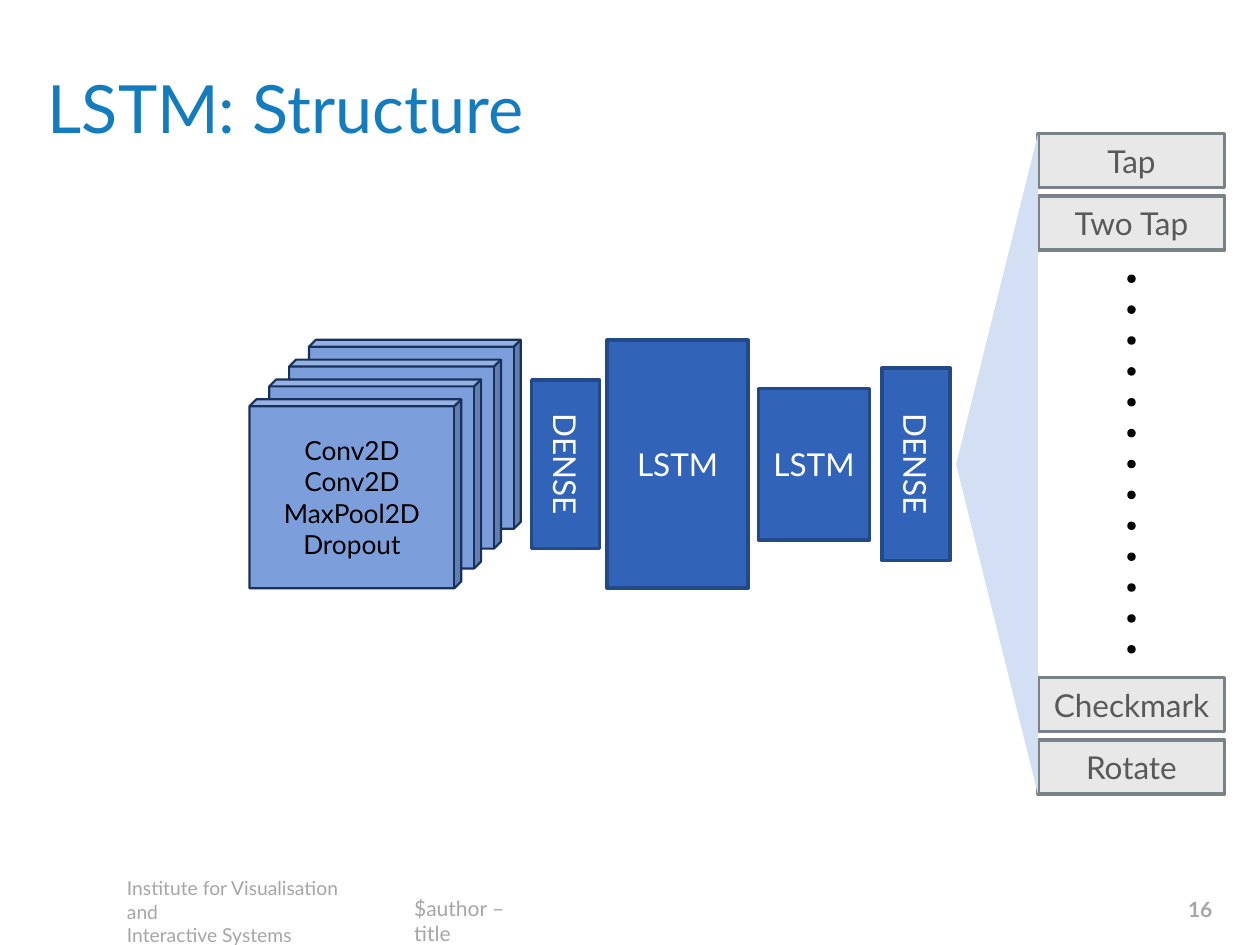
from pptx import Presentation
from pptx.dml.color import RGBColor
from pptx.enum.shapes import MSO_SHAPE
from pptx.enum.text import MSO_ANCHOR, PP_ALIGN
from pptx.util import Cm, Pt

RECTANGLE, CUBE = MSO_SHAPE.RECTANGLE, MSO_SHAPE.CUBE
ELLIPSE, TRIANGLE = MSO_SHAPE.OVAL, MSO_SHAPE.ISOSCELES_TRIANGLE
TOP, MIDDLE = MSO_ANCHOR.TOP, MSO_ANCHOR.MIDDLE
LEFT, CENTER, RIGHT = PP_ALIGN.LEFT, PP_ALIGN.CENTER, PP_ALIGN.RIGHT

TITLE_BLUE = RGBColor(0x13, 0x7C, 0xBE)
LAYER_BLUE = RGBColor(0x31, 0x63, 0xB8)
LAYER_EDGE = RGBColor(0x24, 0x49, 0x88)
CONV_BLUE = RGBColor(0x7C, 0x9F, 0xDC)
CONV_EDGE = RGBColor(0x18, 0x31, 0x5A)
FAN_BLUE = RGBColor(0xD3, 0xDF, 0xF3)
CLASS_GRAY = RGBColor(0xE8, 0xE8, 0xE8)
CLASS_EDGE = RGBColor(0x78, 0x83, 0x88)
CLASS_TEXT = RGBColor(0x59, 0x59, 0x59)
FOOTER_GRAY = RGBColor(0xA6, 0xA6, 0xA6)
WHITE = RGBColor(0xFF, 0xFF, 0xFF)
BLACK = RGBColor(0, 0, 0)


def write(shape, lines, size, color, align=CENTER, anchor=MIDDLE, bold=False):
    frame = shape.text_frame
    frame.text = "\n".join(lines)
    frame.word_wrap = True
    frame.vertical_anchor = anchor
    font_format = {"name": "Lato", "size": Pt(size), "bold": bold}
    for para in frame.paragraphs:
        para.alignment = align
        for span in para.runs:
            for key, value in font_format.items():
                setattr(span.font, key, value)
            span.font.color.rgb = color


def draw(kind, left, top, width, height, fill, edge=None, weight=2):
    shape = page.shapes.add_shape(kind, Cm(left), Cm(top), Cm(width), Cm(height))
    shape.shadow.inherit = False
    shape.fill.solid()
    shape.fill.fore_color.rgb = fill
    if edge is None:
        shape.line.fill.background()
    else:
        shape.line.color.rgb = edge
        shape.line.width = Pt(weight)
    return shape


deck = Presentation()
deck.slide_width, deck.slide_height = Cm(25.4), Cm(19.05)
page = deck.slides.add_slide(deck.slide_layouts[5])

title = page.shapes.title
title_place = {"left": 0.71, "top": 0.64, "width": 24, "height": 3.05}
for key, value in title_place.items():
    setattr(title, key, Cm(value))
write(title, ["LSTM: Structure"], 38, TITLE_BLUE, LEFT)

footers = [
    ("Institute for Visualisation and\vInteractive Systems",
     2.31, 17.55, 5.18, 1.19, 11, LEFT, TOP, False),
    ("$author – title", 8.1, 17.93, 3, 0.76, 12, LEFT, TOP, False),
    ("16", 17.17, 17.73, 7.52, 1.19, 12, RIGHT, MIDDLE, True),
]
for text, left, top, width, height, size, align, anchor, bold in footers:
    box = page.shapes.add_textbox(Cm(left), Cm(top), Cm(width), Cm(height))
    write(box, [text], size, FOOTER_GRAY, align, anchor, bold)

for depth in (3, 2, 1, 0):
    cube = draw(CUBE, 5.03 + 0.4 * depth, 8.05 - 0.4 * depth, 4.27, 3.81,
                CONV_BLUE, CONV_EDGE, 1.25)
    cube.adjustments[0] = 0.037
write(cube, ["Conv2D", "Conv2D", "MaxPool2D", "Dropout"], 15, BLACK)

center_line = 9.36
layers = [
    ("DENSE", 10.72, 1.37, 3.4),
    ("LSTM", 12.24, 2.84, 5),
    ("LSTM", 15.29, 2.24, 3.05),
    ("DENSE", 17.78, 1.37, 3.89),
]
for name, left, width, height in layers:
    layer = draw(RECTANGLE, left, center_line - height / 2, width, height,
                 LAYER_BLUE, LAYER_EDGE)
    write(layer, [name], 18, WHITE)
    if name == "DENSE":
        layer.text_frame._txBody.bodyPr.set("vert", "vert")

classes = {"Tap": 2.69, "Two Tap": 3.95, "Checkmark": 13.66, "Rotate": 14.92}
for name, top in classes.items():
    label = draw(RECTANGLE, 20.93, top, 3.76, 1.09, CLASS_GRAY, CLASS_EDGE)
    write(label, [name], 18, CLASS_TEXT)

fan_span, fan_depth = 13.31, 1.65
fan = draw(TRIANGLE, 20.1 - fan_span / 2, center_line - fan_depth / 2,
           fan_span, fan_depth, FAN_BLUE)
fan.rotation = 270

dot_count, first_dot, last_dot = 13, 5.57, 13.04
for index in range(dot_count):
    top = first_dot + (last_dot - first_dot) * index / (dot_count - 1)
    draw(ELLIPSE, 22.76, top, 0.1, 0.1, BLACK, BLACK)

deck.save("out.pptx")
